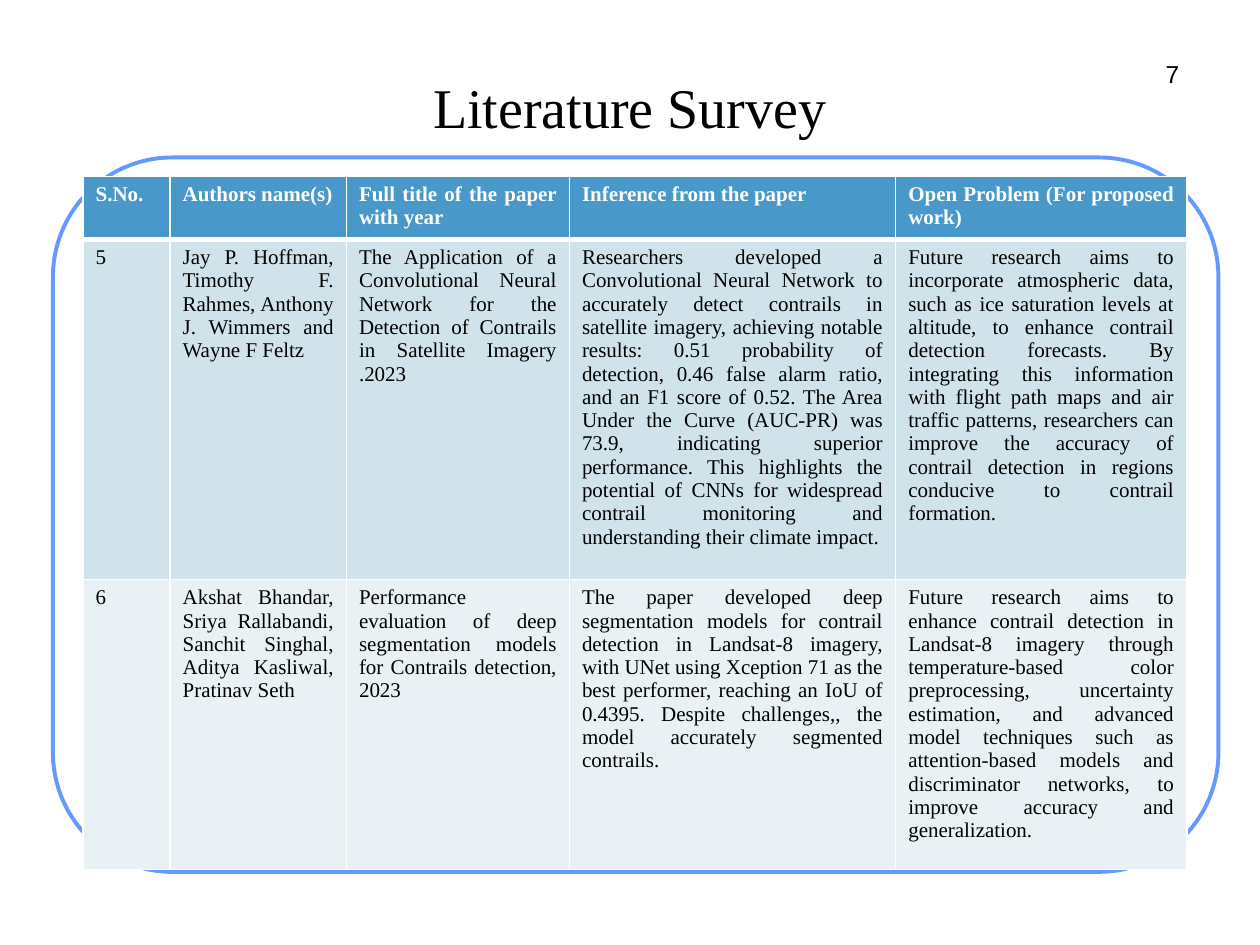
from dataclasses import dataclass

from lxml import etree
from pptx import Presentation
from pptx.dml.color import RGBColor
from pptx.enum import shapes, text
from pptx.oxml import ns
from pptx.util import Inches, Pt

COLORS = {
    "white": "FFFFFF",
    "black": "000000",
    "frame": "6699FF",
    "header": "4898CA",
    "odd_row": "D0E3EA",
    "even_row": "E9F1F5",
}
SERIF = "Times New Roman"
COLUMN_WIDTHS = (0.69, 1.4, 1.77, 2.59, 2.31)


@dataclass
class SurveyRow:
    height: float
    fill: str
    texts: tuple[str, ...]
    font_color: str = "black"
    bold: bool = False
    top_border: int = 1
    bottom_border: int = 1


ROWS = [
    SurveyRow(0.45, "header", (
        "S.No.",
        "Authors name(s)",
        "Full title of the paper with year",
        "Inference from the paper",
        "Open Problem (For proposed work)",
    ), font_color="white", bold=True, bottom_border=3),
    SurveyRow(2.62, "odd_row", (
        "5",
        "Jay P. Hoffman, Timothy F. Rahmes, Anthony J. Wimmers and Wayne F Feltz ",
        "The Application of a Convolutional Neural Network for the Detection of "
        "Contrails in Satellite Imagery .2023",
        "Researchers developed a Convolutional Neural Network to accurately detect "
        "contrails in satellite imagery, achieving notable results: 0.51 probability "
        "of detection, 0.46 false alarm ratio, and an F1 score of 0.52. The Area Under "
        "the Curve (AUC-PR) was 73.9, indicating superior performance. This highlights "
        "the potential of CNNs for widespread contrail monitoring and understanding "
        "their climate impact.",
        "Future research aims to incorporate atmospheric data, such as ice saturation "
        "levels at altitude, to enhance contrail detection forecasts. By integrating "
        "this information with flight path maps and air traffic patterns, researchers "
        "can improve the accuracy of contrail detection in regions conducive to "
        "contrail formation.",
    ), top_border=3),
    SurveyRow(2.28, "even_row", (
        "6",
        "Akshat Bhandar, Sriya Rallabandi, Sanchit Singhal, Aditya Kasliwal, "
        "Pratinav Seth ",
        "Performance evaluation of deep segmentation models for Contrails detection, "
        "2023",
        "The paper developed deep segmentation models for contrail detection in "
        "Landsat-8 imagery, with UNet using Xception 71 as the best performer, reaching "
        "an IoU of 0.4395. Despite challenges,, the model accurately segmented "
        "contrails.",
        "Future research aims to enhance contrail detection in Landsat-8 imagery through "
        "temperature-based color preprocessing, uncertainty estimation, and advanced "
        "model techniques such as attention-based models and discriminator networks, to "
        "improve accuracy and generalization.",
    )),
]


def rgb(name: str) -> RGBColor:
    return RGBColor.from_string(COLORS[name])


def write_text(text_frame, content: str, size: int, alignment, font_name: str = SERIF,
               color: str = "black", bold: bool = False) -> None:
    text_frame.text = content
    paragraph = text_frame.paragraphs[0]
    paragraph.alignment = alignment
    font = paragraph.runs[0].font
    font.name, font.size, font.bold = font_name, Pt(size), bold
    font.color.rgb = rgb(color)


def set_margins(text_frame, margin: float) -> None:
    for side in ("left", "top", "right", "bottom"):
        setattr(text_frame, f"margin_{side}", Inches(margin))


def set_borders(cell, top: int, bottom: int) -> None:
    properties = cell._tc.get_or_add_tcPr()
    widths = {"a:lnL": 1, "a:lnR": 1, "a:lnT": top, "a:lnB": bottom}
    for index, (tag, width) in enumerate(widths.items()):
        line = etree.Element(ns.qn(tag), w=str(Pt(width)))
        fill = etree.SubElement(line, ns.qn("a:solidFill"))
        etree.SubElement(fill, ns.qn("a:srgbClr"), val=COLORS["white"])
        properties.insert(index, line)


def add_title(slide) -> None:
    title = slide.shapes.title
    title.left, title.top = Inches(1.25), Inches(0.4)
    title.width, title.height = Inches(7.5), Inches(0.88)
    set_margins(title.text_frame, 0.05)
    title.text_frame.vertical_anchor = text.MSO_ANCHOR.MIDDLE
    write_text(title.text_frame, "Literature Survey", 32, text.PP_ALIGN.CENTER)


def add_frame(slide) -> None:
    frame = slide.shapes.add_shape(
        shapes.MSO_SHAPE.ROUNDED_RECTANGLE,
        Inches(0.42), Inches(1.25), Inches(9.25), Inches(5.67))
    frame.adjustments[0] = 0.167
    frame.shadow.inherit = False
    frame.fill.solid()
    frame.fill.fore_color.rgb = rgb("white")
    frame.line.color.rgb = rgb("frame")
    frame.line.width = Pt(2.25)
    # Keep the frame behind the title
    slide.shapes.title.element.addprevious(frame.element)


def add_page_number(slide) -> None:
    box = slide.shapes.add_textbox(Inches(9.19), Inches(0.42), Inches(0.22), Inches(0.32))
    set_margins(box.text_frame, 0.05)
    box.text_frame.word_wrap = False
    write_text(box.text_frame, "7", 14, text.PP_ALIGN.RIGHT, font_name="Arial")


def add_survey_table(slide, rows: list[SurveyRow]) -> None:
    table = slide.shapes.add_table(
        len(rows), len(COLUMN_WIDTHS), Inches(0.66), Inches(1.4),
        Inches(sum(COLUMN_WIDTHS)), Inches(sum(row.height for row in rows))).table
    for column, width in zip(table.columns, COLUMN_WIDTHS):
        column.width = Inches(width)
    for table_row, row in zip(table.rows, rows):
        table_row.height = Inches(row.height)
        for cell, content in zip(table_row.cells, row.texts):
            write_text(cell.text_frame, content, 12, text.PP_ALIGN.JUSTIFY,
                       color=row.font_color, bold=row.bold)
            cell.fill.solid()
            cell.fill.fore_color.rgb = rgb(row.fill)
            set_borders(cell, row.top_border, row.bottom_border)


def main() -> None:
    presentation = Presentation()
    presentation.slide_width, presentation.slide_height = Inches(10), Inches(7.5)
    slide = presentation.slides.add_slide(presentation.slide_layouts[5])  # Title Only

    add_title(slide)
    add_frame(slide)
    add_page_number(slide)
    add_survey_table(slide, ROWS)

    presentation.save("out.pptx")


if __name__ == "__main__":
    main()
